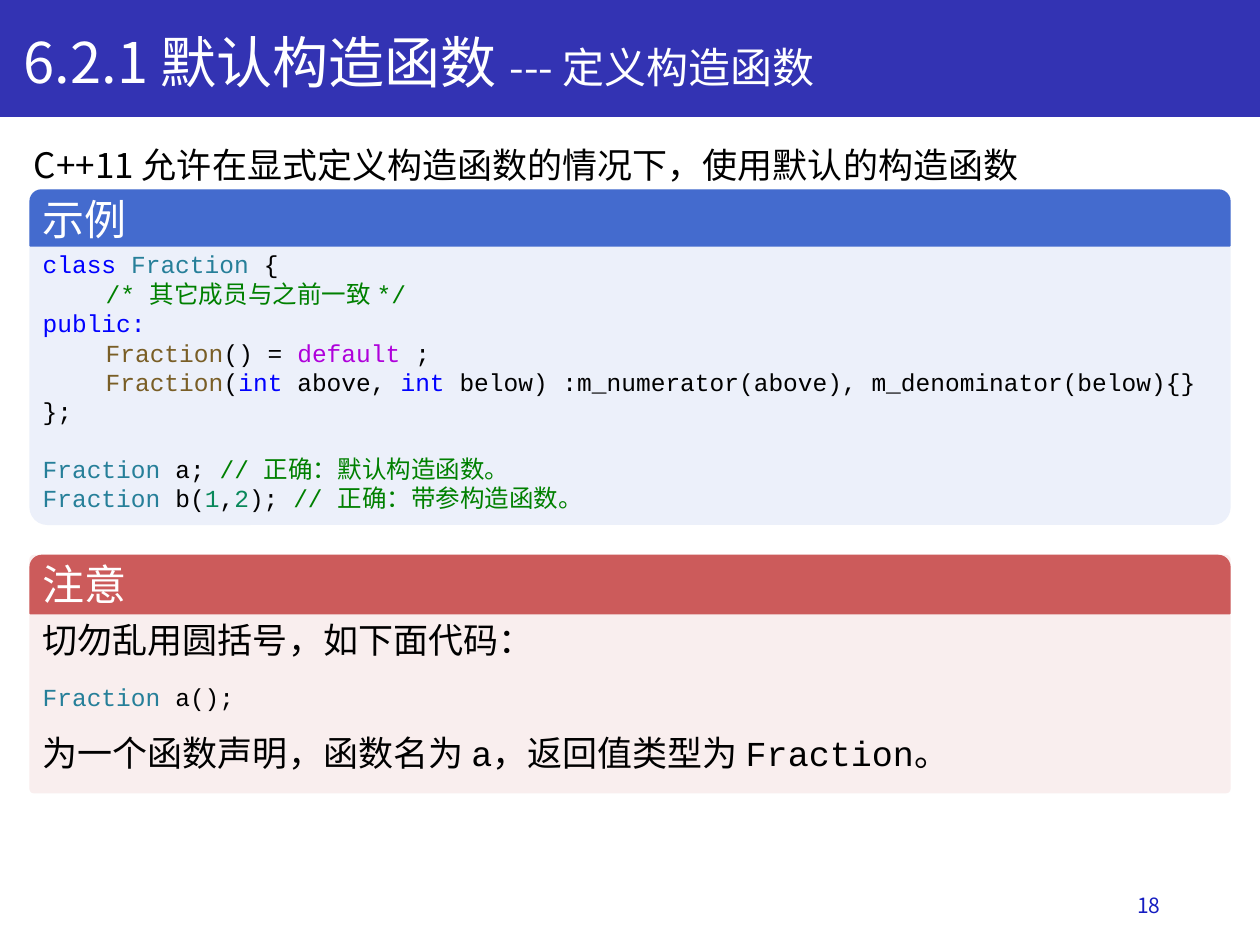
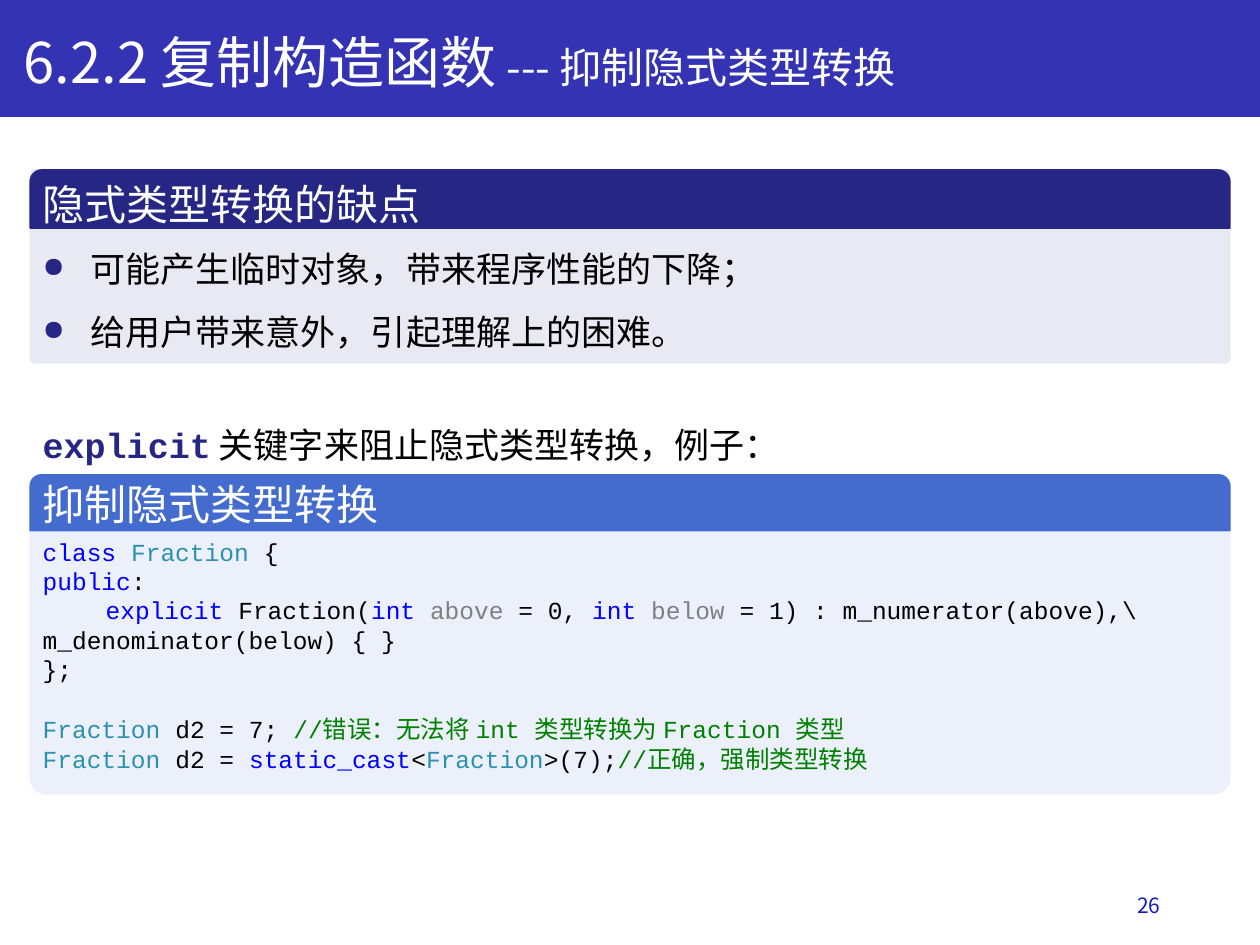
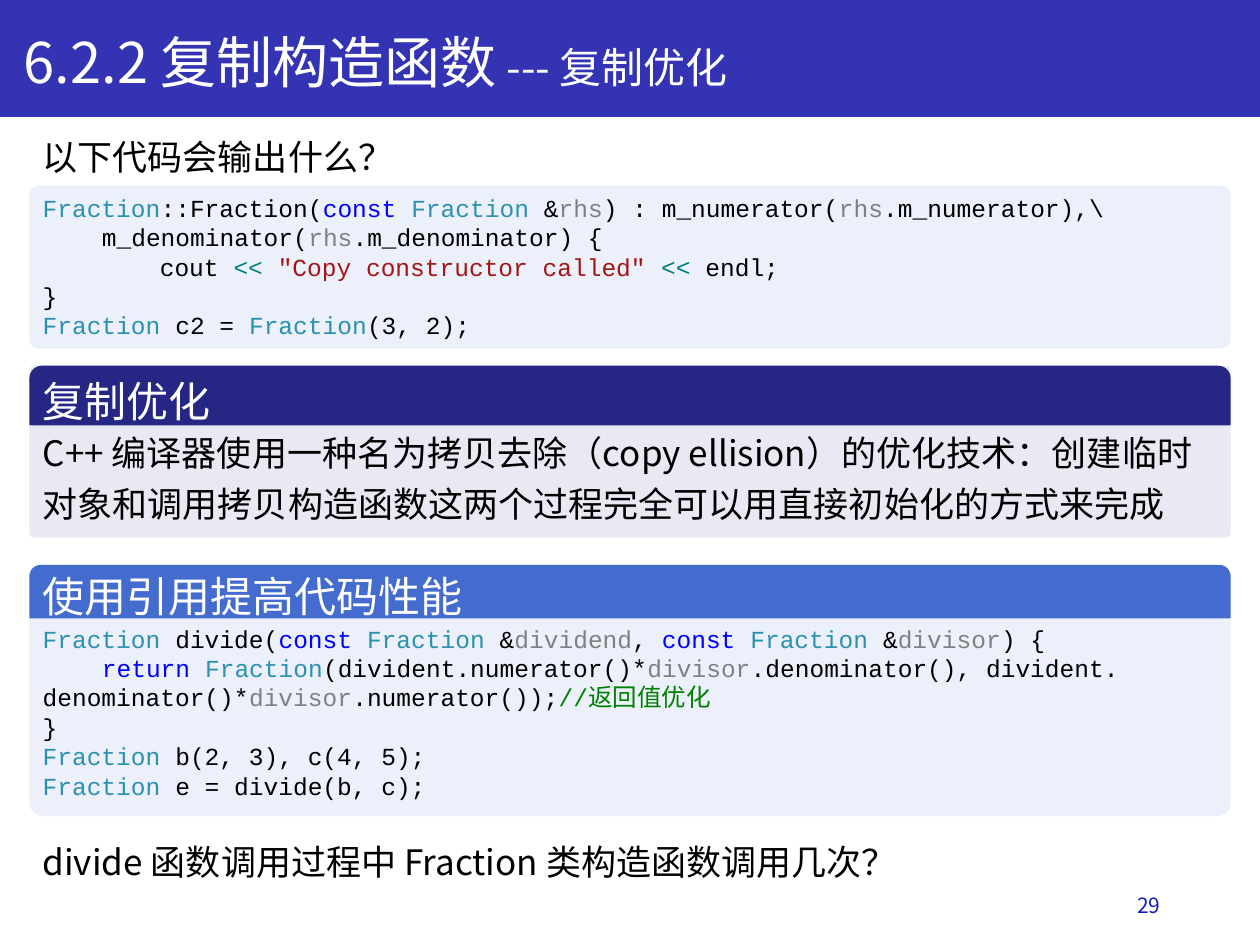
from lxml import etree
from pptx import Presentation
from pptx import util as u
from pptx.dml import color
from pptx.enum import shapes, text
from pptx.oxml import ns

SANS, MONO = "Noto Sans CJK SC", "Courier New"
WHITE, BLACK, BAND, PAGE = "FFFFFF", "000000", "3333B3", "151DC1"
NAVY, BLUE, RED = "262685", "446BCE", "CC5B5B"
TINT = {NAVY: "E9E9F3", BLUE: "ECF0FA", RED: "F9EEEE"}
CURVE = {NAVY: 0.025, BLUE: 0.051, RED: 0.016}
KEY, NOTE, ARG, OPER, QUOTE = "0000FF", "008000", "808080", "008080", "A31515"
TYPE, TEAL, FUNC, WORD, NUM = "2B91AF", "267F99", "795E26", "AF00DB", "09885A"
LEFT, WIDE = 24, 952
FRAC = ("Fraction", TYPE)
CONST = ("const ", KEY)


def px(num):
    """Turn px, a hundredth of an inch, into EMU."""
    return u.Emu(num * 9144)


def rgb(code):
    """Turn a hex string into a colour."""
    return color.RGBColor.from_string(code)


def block(host, kind, box, hue, *bends):
    """Add a plain filled shape with its corner values."""
    item = host.add_shape(kind, *map(px, box))
    item.shadow.inherit = False
    item.fill.solid()
    item.fill.fore_color.rgb = rgb(hue)
    item.line.color.rgb = rgb(hue)
    item.line.width = u.Pt(1)
    for pos, bend in enumerate(bends):
        item.adjustments[pos] = bend


def row(*runs, **style):
    """Describe one paragraph: runs plus pad, gap, space, dot or side."""
    return runs, style


def bullet(props):
    """Give a paragraph a hanging round bullet."""
    props.set("marL", str(px(38)))
    props.set("indent", str(px(-38)))
    hue = etree.SubElement(props, ns.qn("a:buClr"))
    etree.SubElement(hue, ns.qn("a:srgbClr"), val=NAVY)
    etree.SubElement(props, ns.qn("a:buSzPct"), val="80000")
    etree.SubElement(props, ns.qn("a:buChar"), char="●")


def write(host, box, rows, size=20, font=SANS, ink=BLACK, mid=False):
    """Add a text box; a run is a string or (text, colour, font, size, bold)."""
    frame = host.add_textbox(*map(px, box)).text_frame
    frame.word_wrap = True
    if mid:
        frame.vertical_anchor = text.MSO_ANCHOR.MIDDLE
    for pos, (runs, style) in enumerate(rows):
        para = frame.add_paragraph() if pos else frame.paragraphs[0]
        para.alignment = style.get("side")
        para.line_spacing = style.get("space")
        if "gap" in style:
            para.space_before = u.Pt(style["gap"])
        props = para._p.get_or_add_pPr()
        if "pad" in style:
            props.set("indent", str(px(style["pad"])))
        if style.get("dot"):
            bullet(props)
        for part in runs:
            part = (part,) if isinstance(part, str) else part
            words, hue, face, pts, bold = part + (None,) * (5 - len(part))
            run = para.add_run()
            run.text = words
            run.font.name = face or font
            run.font.size = u.Pt(pts or size)
            run.font.bold = bold
            run.font.color.rgb = rgb(hue or ink)


def code(host, box, rows):
    """Add a listing in the code font."""
    write(host, box, rows, 14, MONO)


def panel(slide, top, high, hue, head=None, bar=46, drop=2, font=SANS):
    """Add a rounded panel, with a title bar if it has a head."""
    host = slide.shapes.add_group_shape().shapes if head else slide.shapes
    kinds = shapes.MSO_SHAPE
    block(host, kinds.ROUNDED_RECTANGLE, (LEFT, top, WIDE, high), TINT[hue], CURVE[hue])
    if head:
        block(host, kinds.ROUND_2_SAME_RECTANGLE, (LEFT, top, WIDE, bar), hue, 0.2, 0)
        write(host, (LEFT, top + drop, WIDE, 50), [row(head)], 24, font, WHITE)
    return host


def start(deck, head, tail, page):
    """Add a slide with band, title and page number."""
    slide = deck.slides.add_slide(deck.slide_layouts[6])
    host = slide.shapes
    block(host, shapes.MSO_SHAPE.RECTANGLE, (0, 0, 1000, 92), BAND)
    write(host, (706, 698, 225, 40), [row(page, side=text.PP_ALIGN.RIGHT)], 12, ink=PAGE, mid=True)
    write(host, (9, 17, 967, 64), [row(head, (tail, WHITE, SANS, 24))], 32, ink=WHITE)
    return slide


def default(deck):
    """Build the slide on default constructors."""
    slide = start(deck, "6.2.1 默认构造函数 ", "--- 定义构造函数", "18")
    write(slide.shapes, (17, 109, 952, 44),
          [row("C++11 允许在显式定义构造函数的情况下，使用默认的构造函数")])
    host = panel(slide, 151, 265, BLUE, "示例", 44, -2, MONO)
    code(host, (LEFT, 193, WIDE, 222), [
        row(("class ", KEY), ("Fraction", TEAL), " {"),
        row(("/* 其它成员与之前一致 */", NOTE), pad=50),
        row(("public:", KEY)),
        row(("Fraction", FUNC), "() = ", ("default", WORD), " ;", pad=50),
        row(("Fraction", FUNC), "(", ("int", KEY), " above, ", ("int", KEY),
            " below) :m_numerator(above), m_denominator(below){}", pad=50),
        row("};"),
        row(("Fraction", TEAL), " a; ", ("// 正确：默认构造函数。", NOTE), gap=16),
        row(("Fraction ", TEAL), "b(", ("1", NUM), ",", ("2", NUM), "); ",
            ("// 正确：带参构造函数。", NOTE)),
    ])
    host = panel(slide, 441, 188, RED, "注意", drop=-3)
    write(host, (LEFT, 486, WIDE, 135), [
        row("切勿乱用圆括号，如下面代码："),
        row(("Fraction", TEAL, MONO, 14), (" a();", BLACK, MONO, 14), gap=12),
        row("为一个函数声明，函数名为 ", ("a", BLACK, MONO), "，返回值类型为 ",
            ("Fraction", BLACK, MONO), "。", gap=12),
    ])


def convert(deck):
    """Build the slide on implicit conversion."""
    slide = start(deck, "6.2.2 复制构造函数", " --- 抑制隐式类型转换", "26")
    host = panel(slide, 135, 153, NAVY, "隐式类型转换的缺点")
    write(host, (LEFT, 175, WIDE, 106), [
        row(words, dot=True, space=1.5)
        for words in ("可能产生临时对象，带来程序性能的下降；", "给用户带来意外，引起理解上的困难。")
    ])
    host = panel(slide, 377, 253, BLUE, "抑制隐式类型转换", 44, -2, MONO)
    write(slide.shapes, (LEFT, 331, 612, 44), [
        row(("explicit", NAVY, MONO, 20, True), " 关键字来阻止隐式类型转换，例子：")])
    code(host, (LEFT, 421, WIDE, 128), [
        row(("class ", KEY), FRAC, " {"),
        row(("public", KEY), ":"),
        row(("explicit", KEY), " Fraction(", ("int ", KEY), ("above", ARG), " = 0, ",
            ("int ", KEY), ("below", ARG), " = 1) : m_numerator(above),\\", pad=50),
        row("m_denominator(below) { }"),
        row("};"),
    ])
    code(host, (LEFT, 562, WIDE, 57), [
        row(FRAC, " d2 = 7; ", ("//错误：无法将 int 类型转换为 Fraction 类型", NOTE)),
        row(FRAC, " d2 = ", ("static_cast", KEY), "<", FRAC, ">(7);",
            ("//正确，强制类型转换", NOTE)),
    ])


def elide(deck):
    """Build the slide on copy elision."""
    slide = start(deck, "6.2.2 复制构造函数", " --- 复制优化", "29")
    rhs, div = ("rhs", ARG), ("divisor", ARG)
    host = panel(slide, 291, 135, NAVY, "复制优化")
    write(host, (LEFT, 331, WIDE, 88), [
        row("C++ 编译器使用一种名为拷贝去除（copy ellision）的优化技术：创建临时对象和"
            "调用拷贝构造函数这两个过程完全可以用直接初始化的方式来完成", space=1.2)])
    host = panel(slide, 148, 128, BLUE)
    write(host, (LEFT, 103, 301, 44), [row("以下代码会输出什么？")])
    code(host, (LEFT, 148, WIDE, 128), [
        row(FRAC, "::Fraction(", CONST, FRAC, " &", rhs, ") : m_numerator(", rhs,
            ".m_numerator),\\"),
        row("m_denominator(", rhs, ".m_denominator) {", pad=47),
        row("cout ", ("<< ", OPER), ('"Copy constructor called" ', QUOTE), ("<< ", OPER),
            "endl;", pad=93),
        row("}"),
        row(FRAC, " c2 = ", FRAC, "(3, 2);"),
    ])
    host = panel(slide, 449, 198, BLUE, "使用引用提高代码性能", 41, -1, MONO)
    code(host, (LEFT, 490, WIDE, 151), [
        row(FRAC, " divide(", CONST, FRAC, " &", ("dividend", ARG), ", ", CONST, FRAC,
            " &", div, ") {"),
        row(("return ", KEY), FRAC, "(divident.numerator()*", div,
            ".denominator(), divident.", pad=47),
        row("denominator()*", div, ".numerator());", ("//返回值优化", NOTE)),
        row("}"),
        row(FRAC, " b(2, 3), c(4, 5);"),
        row(FRAC, " e = divide(b, c);"),
    ])
    write(slide.shapes, (LEFT, 662, 794, 44),
          [row("divide 函数调用过程中 Fraction 类构造函数调用几次？")])


def main():
    """Build and save the deck."""
    deck = Presentation()
    deck.slide_width, deck.slide_height = px(1000), px(750)
    for make in (default, convert, elide):
        make(deck)
    deck.save("out.pptx")


if __name__ == "__main__":
    main()
